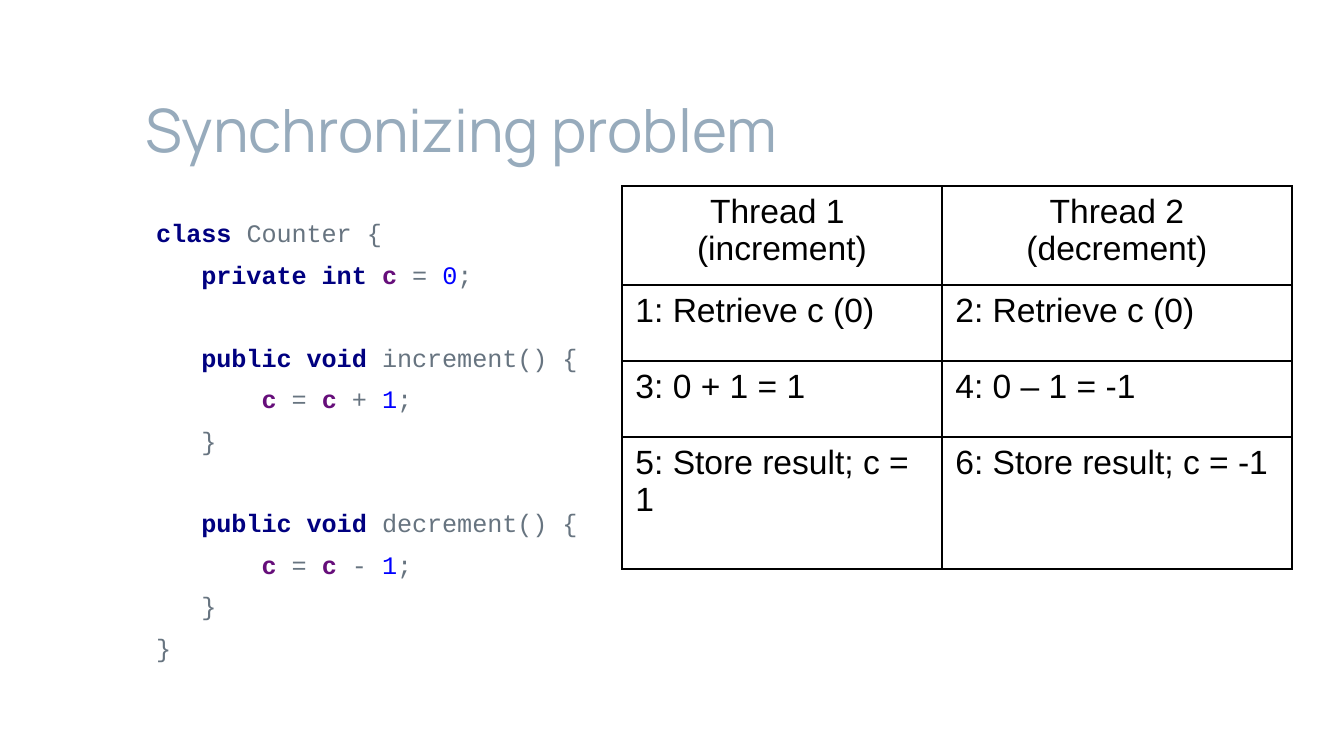
from lxml import etree
from pptx import Presentation
from pptx import util as u
from pptx.dml.color import RGBColor
from pptx.enum import text
from pptx.oxml.ns import qn

PX = 9144000 / 1344  # EMU in one px; the page is 1344 px wide

TITLE = "Synchronizing problem"
STYLES = {
    "plain": {"color": "677480"},
    "keyword": {"color": "000080", "bold": True},
    "field": {"color": "660E7A", "bold": True},
    "number": {"color": "0000FF"},
}


def method(name, sign):
    """Code lines of a method that changes c by one."""
    return [
        [("   ", "plain"), ("public void ", "keyword"), (name + "() {", "plain")],
        [("       ", "plain"), ("c ", "field"), ("= ", "plain"), ("c ", "field"),
         (sign + " ", "plain"), ("1", "number"), (";", "plain")],
        [("   }", "plain")],
    ]


# Blocks of code, set apart by one line
CODE = [
    [
        [("class ", "keyword"), ("Counter {", "plain")],
        [("   ", "plain"), ("private int ", "keyword"), ("c ", "field"),
         ("= ", "plain"), ("0", "number"), (";", "plain")],
    ],
    method("increment", "+"),
    method("decrement", "-") + [[("}", "plain")]],
]
STEPS = [
    (["Thread 1 ", "(increment)"], ["Thread 2", "(decrement)"]),
    (["1: Retrieve c (0)"], ["2: Retrieve c (0)"]),
    (["3: 0 + 1 = 1"], ["4: 0 – 1 = -1"]),
    (["5: Store result; c = 1"], ["6: Store result; c = -1"]),
]
COLUMNS = [320, 350]
ROWS = [99, 76, 76, 132]
LINE_HEIGHT, LINE_GAP = 16.2, 6  # points


def px(length):
    return u.Emu(round(length * PX))


def rgb(value):
    return RGBColor.from_string(value)


def add_span(para, words, size, font, color, bold=False):
    span = para.add_run()
    span.text = words
    span.font.size = u.Pt(size)
    span.font.name = font
    span.font.bold = bold
    span.font.color.rgb = rgb(color)


def next_para(frame, first):
    return frame.paragraphs[0] if first else frame.add_paragraph()


def place(box, left, top, width, height, anchor):
    box.left, box.top, box.width, box.height = map(px, (left, top, width, height))
    frame = box.text_frame
    frame.word_wrap = True
    frame.auto_size = text.MSO_AUTO_SIZE.NONE
    frame.vertical_anchor = anchor
    frame.margin_left = frame.margin_right = u.Inches(0.1)
    frame.margin_top = frame.margin_bottom = u.Inches(0.1)
    return frame


def fill_title(box):
    frame = place(box, 132, 52, 950, 126, text.MSO_ANCHOR.BOTTOM)
    para = frame.paragraphs[0]
    para.alignment = text.PP_ALIGN.LEFT
    add_span(para, TITLE, 32, "Manrope", "97ABBC")


def fill_code(box):
    frame = place(box, 132, 204, 950, 520, text.MSO_ANCHOR.TOP)
    for b, block in enumerate(CODE):
        for n, line in enumerate(block):
            first = b == n == 0
            para = next_para(frame, first)
            properties = para._p.get_or_add_pPr()
            properties.set("marL", str(u.Inches(0.5)))
            properties.set("indent", str(u.Inches(-0.42)))
            etree.SubElement(properties, qn("a:buNone"))
            gap = LINE_GAP if n else 2 * LINE_GAP + LINE_HEIGHT
            para.space_before = u.Pt(0 if first else gap)
            para.line_spacing = u.Pt(LINE_HEIGHT)
            for words, style in line:
                add_span(para, words, 13.5, "Courier New", **STYLES[style])


def add_borders(cell):
    properties = cell._tc.get_or_add_tcPr()
    for side in "LRTB":
        line = etree.SubElement(properties, qn("a:ln" + side), w=str(u.Pt(1)))
        fill = etree.SubElement(line, qn("a:solidFill"))
        etree.SubElement(fill, qn("a:srgbClr"), val="000000")


def add_steps(page):
    table = page.shapes.add_table(
        len(ROWS), len(COLUMNS), px(622), px(186), px(sum(COLUMNS)), px(sum(ROWS))
    ).table
    table.first_row = table.horz_banding = False
    for column, width in zip(table.columns, COLUMNS):
        column.width = px(width)
    for r, (row, height) in enumerate(zip(table.rows, ROWS)):
        row.height = px(height)
        for cell, lines in zip(row.cells, STEPS[r]):
            add_borders(cell)
            cell.fill.background()
            for n, words in enumerate(lines):
                para = next_para(cell.text_frame, n == 0)
                para.alignment = text.PP_ALIGN.LEFT if r else text.PP_ALIGN.CENTER
                add_span(para, words, 18, "Arial", "000000")


def main():
    deck = Presentation()
    deck.slide_width, deck.slide_height = px(1344), px(756)
    page = deck.slides.add_slide(deck.slide_layouts[1])
    page.background.fill.solid()
    page.background.fill.fore_color.rgb = rgb("FFFFFF")
    fill_title(page.shapes.title)
    fill_code(page.placeholders[1])
    add_steps(page)
    deck.save("out.pptx")


if __name__ == "__main__":
    main()
